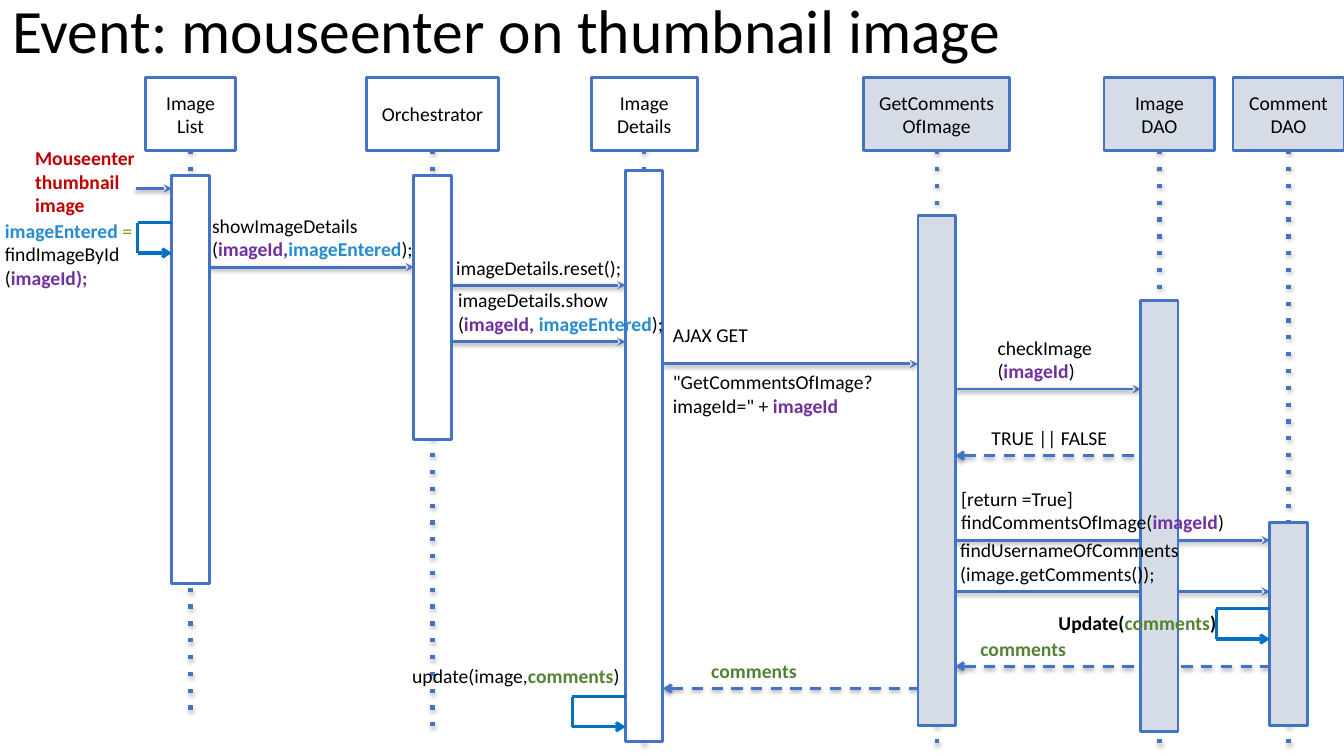
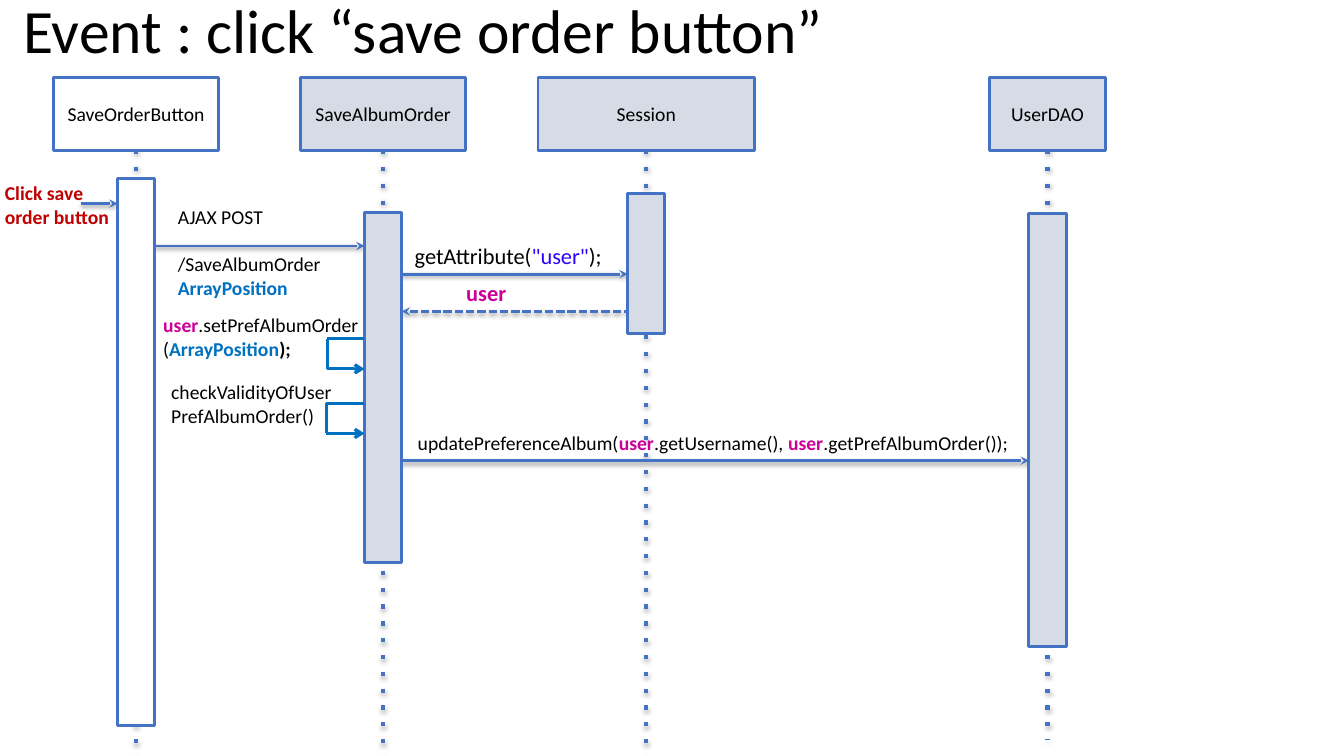
from lxml import etree
from pptx import Presentation
from pptx import util as u
from pptx.dml.color import RGBColor
from pptx.enum import shapes, text
from pptx.oxml import ns

PX = 9144  # 100 px to the inch
WIDTH, HEIGHT = 1333, 750
FONT = "Calibri"
BLUE, LOOP, WHITE, GREY = "4472C4", "0070C0", "FFFFFF", "D6DCE5"
HEAD_Y, HEAD_H, BAR_W = 77, 72, 37
LOOP_H, ENTRY = 30, 36

# style: colour, bold
STYLES = {
    "plain": ("000000", False), "bold": ("000000", True),
    "event": ("C00000", True), "id": ("7030A0", True),
    "image": ("268BD2", True), "equal": ("859900", False),
    "notes": ("548235", True), "user": ("CC0099", True),
    "array": ("0070C0", True), "quote": ("2A00FF", False),
}
# kind: dash, arrow tag, arrow type
KINDS = {
    "call": (None, "tailEnd", "stealth"),
    "back": ("dash", "headEnd", "arrow"),
    "reply": ("sysDash", "headEnd", "stealth"),
}

# A line of text is a list of runs: plain text, or (text, style)
ID, IMAGE = ("imageId", "id"), ("imageEntered", "image")
NOTES, USER = ("comments", "notes"), ("user", "user")
ARRAY = ("ArrayPosition", "array")
GAP = []

# actors: name lines, fill, centre, head width, bar top, bar bottom, lifeline end
# entry: arrow y, label x, label y, lines
# calls: kind, left actor, right actor, y, label shift, text size, lines
# loops: actor, top, width, label x, label y, lines
SLIDES = [
    {
        "title": ("Event: mouseenter on thumbnail image", 0),
        "actors": [
            ("Image List", WHITE, 189, 90, 174, 579, 707),
            ("Orchestrator", WHITE, 429, 131, 174, 436, 727),
            ("Image Details", WHITE, 639, 105, 169, 736, HEIGHT),
            ("GetCommentsOfImage", GREY, 929, 145, 214, 720, HEIGHT),
            ("Image DAO", GREY, 1150, 110, 298, 726, HEIGHT),
            ("Comment DAO", GREY, 1278, 110, 518, 720, HEIGHT),
        ],
        "entry": (187, 25, 140, ["Mouseenter", "thumbnail", "image"]),
        "calls": [
            ("call", 0, 1, 265, -7, 14,
             [["showImageDetails"],
              ["(", ("imageId,", "id"), IMAGE, ");"]]),
            ("call", 1, 2, 283, -5, 14, [["imageDetails.reset();"]]),
            ("call", 1, 2, 339, -3, 14,
             [["imageDetails.show"],
              ["(", ("imageId, ", "id"), IMAGE, ");"]]),
            ("call", 2, 3, 361, 0, 14,
             [["AJAX GET"], GAP, ["\"GetCommentsOfImage?"],
              ["imageId=\" + ", ID]]),
            ("call", 3, 4, 386, 32, 14,
             [["checkImage"], ["(", ID, ")"]]),
            ("back", 3, 4, 452, 26, 14, [["TRUE || FALSE"]]),
            ("call", 3, 5, 536, -4, 14,
             [["[return =True]"], ["findCommentsOfImage(", ID, ")"]]),
            ("call", 3, 5, 587, -5, 14,
             [["findUsernameOfComments"], ["(image.getComments());"]]),
            ("back", 3, 5, 661, 15, 14, [[NOTES]]),
            ("back", 2, 3, 683, 38, 14, [[NOTES]]),
        ],
        "loops": [
            (0, 221, 34, -5, 212,
             [[("imageEntered ", "image"), ("=", "equal")],
              ["findImageById"], ["(", ("imageId);", "id")]]),
            (5, 604, 53, 1040, 601,
             [[("Update(", "bold"), NOTES, (")", "bold")]]),
            (2, 691, 53, 399, 654, [["update(image,", NOTES, ")"]]),
        ],
    },
    {
        "title": ("Event : click “save order button”", 11),
        "actors": [
            ("SaveOrderButton", WHITE, 135, 164, 177, 720, HEIGHT),
            ("SaveAlbumOrder", GREY, 380, 164, 211, 558, HEIGHT),
            ("Session", GREY, 641, 215, 192, 331, HEIGHT),
            ("UserDAO", GREY, 1039, 115, 212, 641, 734),
        ],
        "entry": (202, -5, 175, ["Click save", "order button"]),
        "calls": [
            ("call", 0, 1, 244, 13, 14,
             [["AJAX POST"], GAP, ["/SaveAlbumOrder"], [ARRAY]]),
            ("call", 1, 2, 272, 3, 16,
             [["getAttribute(", ("\"user\"", "quote"), ");"]]),
            ("reply", 1, 2, 309, 54, 16, [[USER]]),
            ("call", 1, 3, 457, 6, 14,
             [["updatePreferenceAlbum(", USER, ".getUsername(), ", USER,
               ".getPrefAlbumOrder());"]]),
        ],
        "loops": [
            (1, 336, 37, 152, 306,
             [[USER, ".setPrefAlbumOrder"], ["(", ARRAY, (");", "bold")]]),
            (1, 400, 38, 160, 372,
             [["checkValidityOfUser"], ["PrefAlbumOrder()"]]),
        ],
    },
]


def rgb(code):
    return RGBColor.from_string(code)


def emu(values):
    return [round(v * PX) for v in values]


def write(shape, lines, size=14, pad=(10, 5), align=None, mid=False, lead=None):
    frame = shape.text_frame
    frame.word_wrap = True
    frame.auto_size = text.MSO_AUTO_SIZE.NONE
    frame.margin_left = frame.margin_right = pad[0] * PX
    frame.margin_top = frame.margin_bottom = pad[1] * PX
    anchor = text.MSO_ANCHOR
    frame.vertical_anchor = anchor.MIDDLE if mid else anchor.TOP
    for i, runs in enumerate(lines):
        if not runs:
            continue
        para = frame.add_paragraph() if i else frame.paragraphs[0]
        para.alignment = align
        if lead:
            para.line_spacing = lead
        if i and not lines[i - 1]:
            para.space_before = u.Pt(size * 1.22)
        for part in runs:
            words, style = (part, "plain") if isinstance(part, str) else part
            color, bold = STYLES[style]
            run = para.add_run()
            run.text = words
            font = run.font
            font.name, font.size, font.bold = FONT, u.Pt(size), bold
            font.color.rgb = rgb(color)


def tall(lines, size):
    return 10 + round(len(lines) * size * 1.7)


def label(slide, x, y, lines, size=14):
    box = (x, y, min(640, WIDTH - x), tall(lines, size))
    write(slide.shapes.add_textbox(*emu(box)), lines, size)


def rect(slide, box, fill):
    shape = slide.shapes.add_shape(shapes.MSO_SHAPE.RECTANGLE, *emu(box))
    shape.shadow.inherit = False
    shape.fill.solid()
    shape.fill.fore_color.rgb = rgb(fill)
    shape.line.color.rgb = rgb(BLUE)
    shape.line.width = u.Pt(2)
    return shape


def line(slide, ends, color, width, dash=None, tip=None, shade=0):
    conn = slide.shapes.add_connector(shapes.MSO_CONNECTOR.STRAIGHT, *emu(ends))
    conn.line.color.rgb = rgb(color)
    conn.line.width = u.Pt(width)
    props = conn.element.spPr
    edge = props.find(ns.qn("a:ln"))
    if dash:
        etree.SubElement(edge, ns.qn("a:prstDash"), val=dash)
    if tip:
        etree.SubElement(edge, ns.qn("a:" + tip[0]), type=tip[1])
    fx = etree.SubElement(props, ns.qn("a:effectLst"))
    if shade:
        drop = etree.SubElement(fx, ns.qn("a:outerShdw"), blurRad="40000",
                                dist="20000", dir="5400000", rotWithShape="0")
        ink = etree.SubElement(drop, ns.qn("a:srgbClr"), val="000000")
        etree.SubElement(ink, ns.qn("a:alpha"), val=str(shade * 1000))


def build(slide, data):
    actors = data["actors"]
    left = [a[2] - BAR_W / 2 for a in actors]
    right = [x + BAR_W for x in left]
    # Lifelines, then arrows, so that bars cover both
    for _, _, mid, _, _, _, end in actors:
        line(slide, (mid, HEAD_Y + HEAD_H, mid, end), BLUE, 3, "dot", shade=35)
    entry, x, y, words = data["entry"]
    line(slide, (left[0] - ENTRY, entry, left[0], entry), BLUE, 2,
         tip=KINDS["call"][1:], shade=38)
    for kind, a, b, at, *_ in data["calls"]:
        dash, *tip = KINDS[kind]
        line(slide, (right[a], at, left[b], at), BLUE, 2, dash, tip, 38)
    # Heads and bars
    for (name, fill, mid, wide, top, low, _), x0 in zip(actors, left):
        head = rect(slide, (mid - wide / 2, HEAD_Y, wide, HEAD_H), fill)
        write(head, [[name]], pad=(12, 6), align=text.PP_ALIGN.CENTER, mid=True)
        rect(slide, (x0, top, BAR_W, low - top), fill)
    # Self calls
    for a, top, wide, lx, ly, lines in data["loops"]:
        near, far, low = left[a], left[a] - wide, top + LOOP_H
        line(slide, (near, top, far, top), LOOP, 2.25)
        line(slide, (far, top, far, low), LOOP, 2.25)
        line(slide, (far, low, near, low), LOOP, 2.25, tip=("tailEnd", "arrow"))
        label(slide, lx, ly, lines)
    # Labels sit on their arrow, or around it when they hold a gap
    label(slide, x, y, [[(w, "event")] for w in words])
    for _, a, _, at, shift, size, lines in data["calls"]:
        up = 46 if GAP in lines else tall(lines, size)
        label(slide, right[a] + shift, at - up, lines, size)
    # Title
    words, x = data["title"]
    box = slide.shapes.add_textbox(*emu((x, 3, 1071, 61)))
    write(box, [[words]], 44, (12, 6), mid=True, lead=0.9)


def main():
    deck = Presentation()
    deck.slide_width, deck.slide_height = emu((WIDTH, HEIGHT))
    for data in SLIDES:
        build(deck.slides.add_slide(deck.slide_layouts[6]), data)
    deck.save("out.pptx")


if __name__ == "__main__":
    main()
